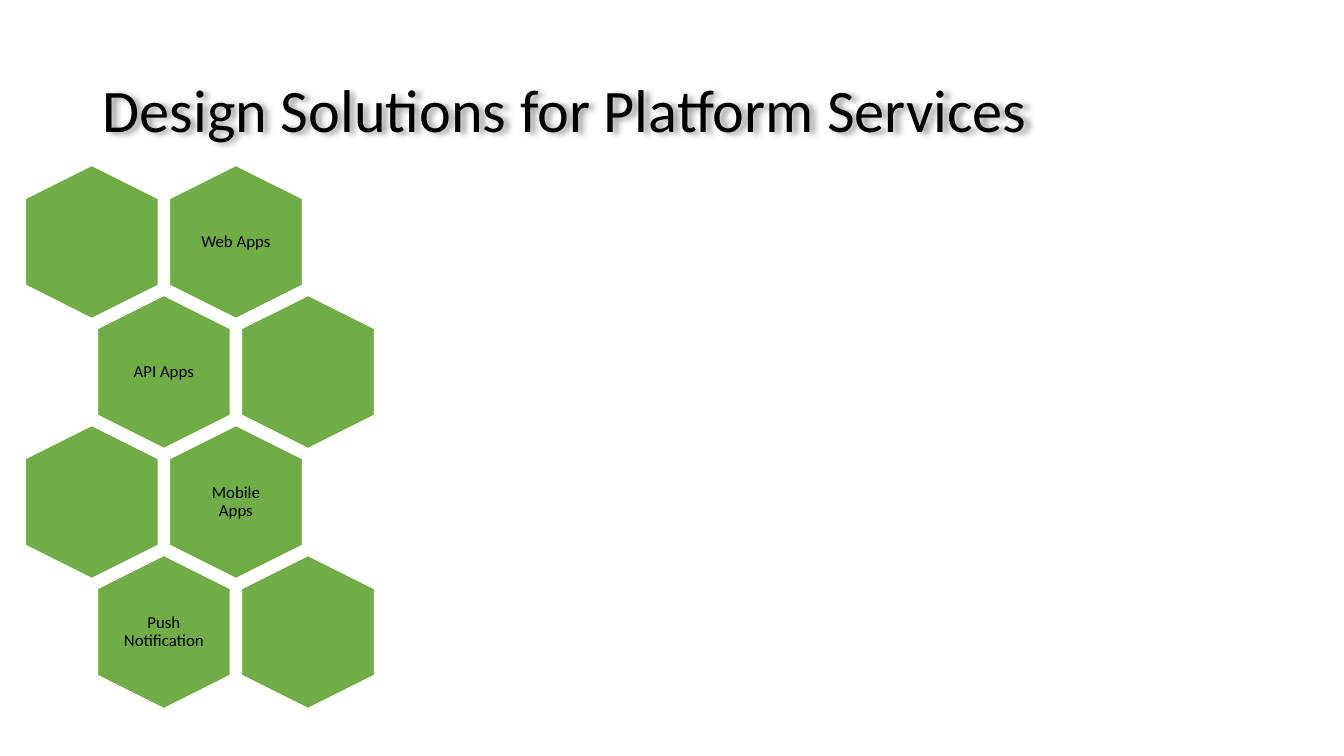
from lxml.etree import SubElement
from pptx import Presentation
from pptx.dml.color import RGBColor
from pptx.enum.shapes import MSO_SHAPE as Shape
from pptx.enum.text import MSO_ANCHOR as Anchor, PP_ALIGN as Align
from pptx.oxml.ns import qn
from pptx.util import Inches, Pt

COLORS = {"background": "FFFFFF", "hexagon": "70AD47", "outline": "FFFFFF", "text": "000000"}
FONT = "Calibri"
HONEYCOMB = [
    (None, "Web Apps"),
    ("API Apps", None),
    (None, "Mobile Apps"),
    ("Push Notification", None),
]
LEFT, TOP = 0.15, 1.74
HEX_LENGTH, HEX_WIDTH = 1.52, 1.32
COLUMN_STEP, ROW_STEP = 1.43, 1.29
CAPTION_WIDTH, CAPTION_HEIGHT = 0.91, 1.05


def rgb(name):
    return RGBColor.from_string(COLORS[name])


def add_text(page, text, left, top, width, height, size, align, margins):
    box = page.shapes.add_textbox(Inches(left), Inches(top), Inches(width), Inches(height))
    frame = box.text_frame
    frame.word_wrap = True
    frame.vertical_anchor = Anchor.MIDDLE
    frame.margin_left = frame.margin_right = Inches(margins[0])
    frame.margin_top = frame.margin_bottom = Inches(margins[1])
    frame.text = text
    para = frame.paragraphs[0]
    para.alignment = align
    para.line_spacing = 0.9
    span = para.runs[0]
    span.font.name = FONT
    span.font.size = Pt(size)
    span.font.color.rgb = rgb("text")
    return box


def add_soft_shadow(box):
    effects = SubElement(box.element.spPr, qn("a:effectLst"))
    shadow = SubElement(effects, qn("a:outerShdw"), blurRad="50800", dist="38100",
                        dir="0", algn="l", rotWithShape="0")
    color = SubElement(shadow, qn("a:srgbClr"), val=COLORS["text"])
    SubElement(color, qn("a:alpha"), val="40000")


def add_hexagon(page, left, top):
    hexagon = page.shapes.add_shape(Shape.HEXAGON, Inches(left), Inches(top),
                                    Inches(HEX_LENGTH), Inches(HEX_WIDTH))
    hexagon.rotation = 90
    hexagon.adjustments[0] = 0.25
    hexagon.shadow.inherit = False
    hexagon.fill.solid()
    hexagon.fill.fore_color.rgb = rgb("hexagon")
    hexagon.line.color.rgb = rgb("outline")
    hexagon.line.width = Pt(1)


def add_caption(page, text, left, top):
    add_text(page, text,
             left + (HEX_LENGTH - CAPTION_WIDTH) / 2,
             top + (HEX_WIDTH - CAPTION_HEIGHT) / 2,
             CAPTION_WIDTH, CAPTION_HEIGHT, 12, Align.CENTER, (0.05, 0.05))


def add_honeycomb(page):
    for row, captions in enumerate(HONEYCOMB):
        top = TOP + row * ROW_STEP
        for column, caption in enumerate(captions):
            left = LEFT + (column + row % 2 / 2) * COLUMN_STEP
            add_hexagon(page, left, top)
            if caption:
                add_caption(page, caption, left, top)


def main():
    deck = Presentation()
    deck.slide_width, deck.slide_height = Inches(13.33), Inches(7.5)
    page = deck.slides.add_slide(deck.slide_layouts[6])
    page.background.fill.solid()
    page.background.fill.fore_color.rgb = rgb("background")
    title = add_text(page, "Design Solutions for Platform Services",
                     0.92, 0.4, 11.5, 1.45, 43.1, Align.LEFT, (0.1, 0.05))
    add_soft_shadow(title)
    add_honeycomb(page)
    deck.save("out.pptx")


if __name__ == "__main__":
    main()
